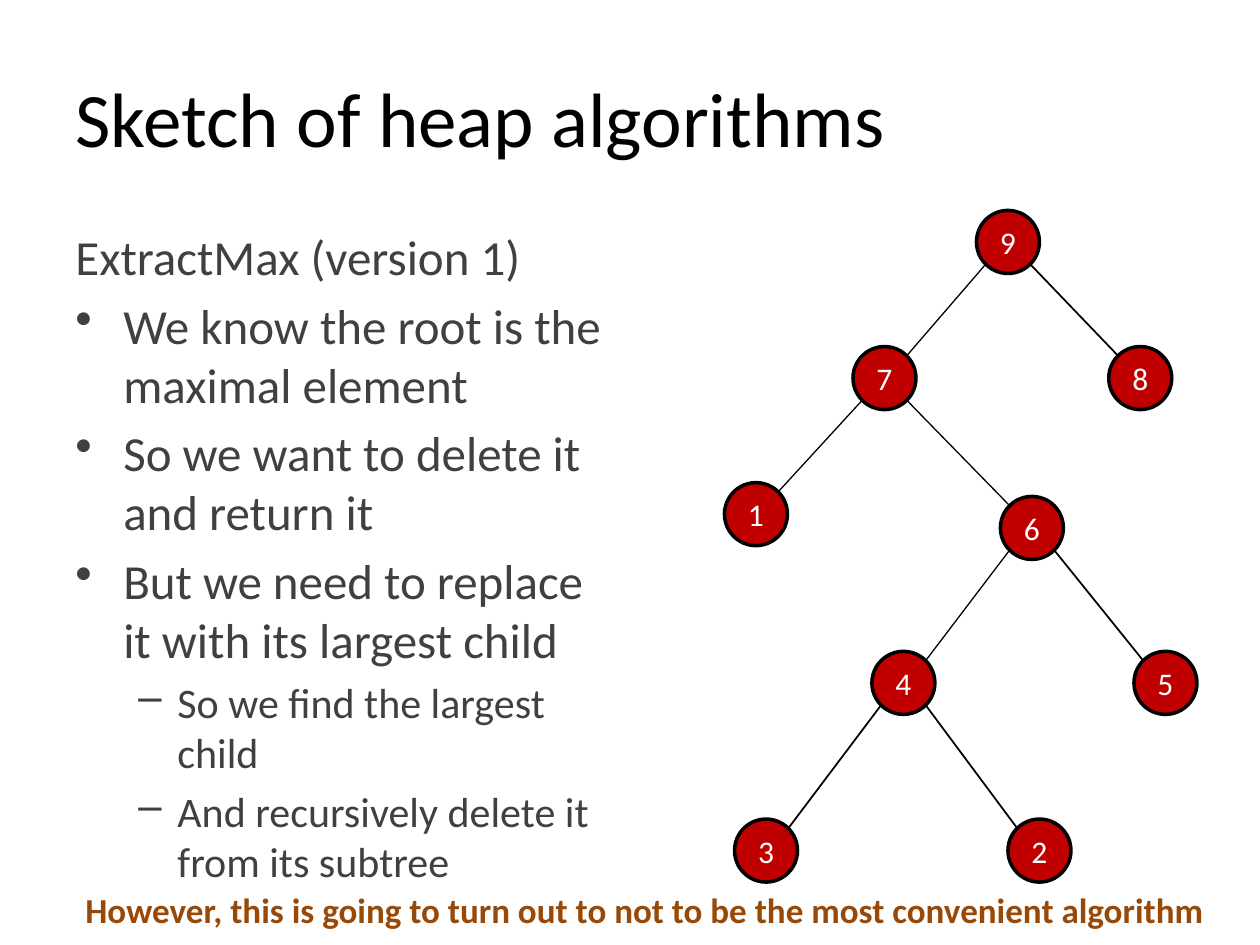
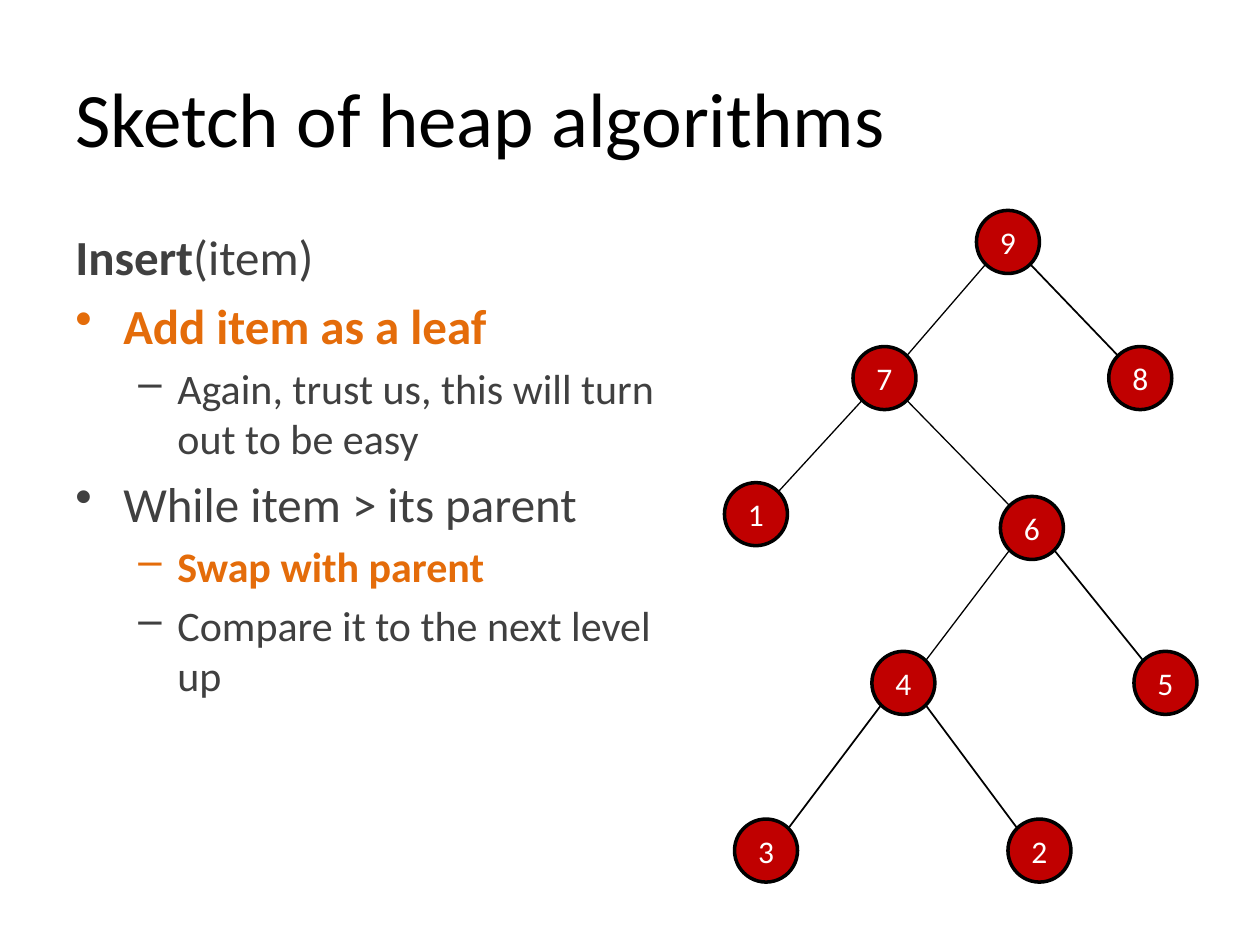
"""Build two slides on heap algorithms, each beside the same binary tree."""
from lxml.etree import SubElement
from pptx import Presentation
from pptx.dml.color import RGBColor
from pptx.enum.shapes import MSO_CONNECTOR, MSO_SHAPE
from pptx.enum.text import MSO_ANCHOR, PP_ALIGN
from pptx.oxml.ns import qn
from pptx.util import Inches, Pt

HUES = {"ink": "000000", "text": "404040", "node": "C00000", "label": "FFFFFF",
        "accent": "E46C0A", "note": "984807"}
HUES = {name: RGBColor.from_string(code) for name, code in HUES.items()}

deck = Presentation()
deck.slide_width, deck.slide_height = Inches(10), Inches(7.5)
COL, ROW = deck.slide_width / 100, deck.slide_height / 100
SIZE = 5 * COL
REACH = SIZE / 2 * 0.71

LEVELS = {0: (28, 0, 0, None), 1: (28, 0.38, -0.38, "•"), 2: (24, 0.81, -0.31, "–")}

NODES = {9: (77.5, 22.27), 7: (67.7, 36.67), 8: (88, 36.67), 1: (57.5, 51.07),
         6: (79.4, 52.53), 4: (69.2, 68.93), 5: (90, 68.93), 3: (58.3, 86.67),
         2: (80, 86.67)}
EDGES = [(9, 7, 0.75), (9, 8, 1), (7, 1, 0.75), (7, 6, 0.75),
         (6, 4, 0.75), (6, 5, 1), (4, 3, 1), (4, 2, 1)]

PAGES = [
    (44.2, 66, [
        (0, "text", "", "ExtractMax (version 1)"),
        (1, "text", "", "We know the root is the maximal element"),
        (1, "text", "", "So we want to delete it and return it"),
        (1, "text", "", "But we need to replace it with its largest child"),
        (2, "text", "", "So we find the largest child"),
        (2, "text", "", "And recursively delete it from its subtree")],
     "However, this is going to turn out to not to be the most convenient algorithm"),
    (49.2, 61, [
        (0, "text", "Insert", "(item)"),
        (1, "accent", "Add item as a leaf", ""),
        (2, "text", "", "Again, trust us, this will turn out to be easy"),
        (1, "text", "", "While item > its parent"),
        (2, "accent", "Swap with parent", ""),
        (2, "text", "", "Compare it to the next level up")],
     None),
]


def place(x, y, w, h):
    """Turn grid units into whole lengths."""
    return round(x * COL), round(y * ROW), round(w * COL), round(h * ROW)


def style(para, size, hue):
    """Set the font of a paragraph."""
    font = para.font
    font.name, font.size, font.color.rgb = "Calibri", Pt(size), HUES[hue]


for wide, high, lines, note in PAGES:
    slide = deck.slides.add_slide(deck.slide_layouts[5])
    title = slide.shapes.title
    title.left, title.top, title.width, title.height = place(5, 4, 90, 16.67)
    title.text_frame.text = "Sketch of heap algorithms"
    title.text_frame.vertical_anchor = MSO_ANCHOR.MIDDLE
    head = title.text_frame.paragraphs[0]
    head.alignment = PP_ALIGN.LEFT
    style(head, 44, "ink")

    body = slide.shapes.add_textbox(*place(5, 23.33, wide, high)).text_frame
    body.word_wrap = True
    for spot, (level, hue, bold, plain) in enumerate(lines):
        para = body.add_paragraph() if spot else body.paragraphs[0]
        size, left, hang, mark = LEVELS[level]
        if mark:
            props = para._p.get_or_add_pPr()
            props.set("marL", str(Inches(left)))
            props.set("indent", str(Inches(hang)))
            SubElement(props, qn("a:buChar"), char=mark)
        if spot:
            para.space_before = Pt(size * 0.2)
        style(para, size, hue)
        for text, heavy in ((bold, True), (plain, False)):
            if text:
                run = para.add_run()
                run.text, run.font.bold = text, heavy

    for top, low, weight in EDGES:
        (ax, ay), (bx, by) = NODES[top], NODES[low]
        side = REACH if bx > ax else -REACH
        half = SIZE / 2
        ends = (ax * COL + half + side, ay * ROW + half + REACH,
                bx * COL + half - side, by * ROW + half - REACH)
        edge = slide.shapes.add_connector(MSO_CONNECTOR.STRAIGHT, *map(round, ends))
        edge.line.color.rgb, edge.line.width = HUES["ink"], Pt(weight)
        SubElement(edge._element.spPr, qn("a:effectLst"))

    for value, (x, y) in NODES.items():
        node = slide.shapes.add_shape(MSO_SHAPE.OVAL, *place(x, y, 5, 6.67))
        node.shadow.inherit = False
        node.fill.solid()
        node.fill.fore_color.rgb = HUES["node"]
        node.line.color.rgb, node.line.width = HUES["ink"], Pt(2)
        node.text_frame.text = str(value)
        node.text_frame.vertical_anchor = MSO_ANCHOR.MIDDLE
        label = node.text_frame.paragraphs[0]
        label.alignment = PP_ALIGN.CENTER
        style(label, 18, "label")

    if note:
        foot = slide.shapes.add_textbox(*place(5.8, 93.33, 91.4, 5.87)).text_frame
        foot.word_wrap = False
        foot.text = note
        style(foot.paragraphs[0], 20, "note")
        foot.paragraphs[0].font.bold = True

deck.save("out.pptx")
